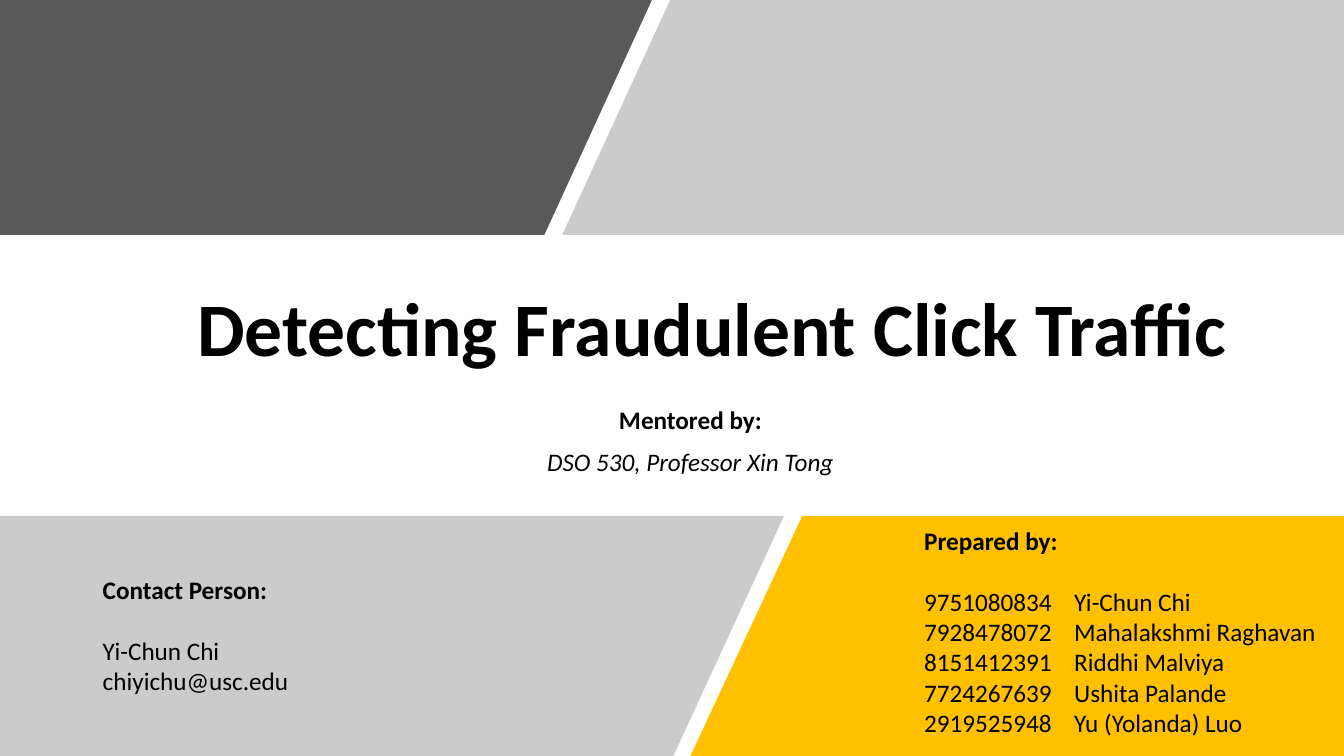
from lxml.etree import SubElement as Sub
from pptx import Presentation
from pptx.dml.color import RGBColor as Rgb
from pptx.enum.text import MSO_ANCHOR as Anchor, PP_ALIGN as Align
from pptx.oxml.ns import qn
from pptx.util import Cm, Pt

THEME = {
    "font": "Calibri", "ink": "000000", "dark": "595959", "gray": "7F7F7F",
    "gold": "FFC000", "white": "FFFFFF", "veil": 40, "head": 54, "body": 18,
}

WIDE, HIGH = 33.87, 19.05
TOP, LOW = (0, 5.92), (13, HIGH)

# band, fill, opacity, left edge at top and foot, right edge at top and foot
PANELS = [
    (TOP, "dark", 100, (0, 0), (16.43, 13.72)),
    (LOW, "white", 100, (19.89, 17.09), (29.64, 29.64)),
    (LOW, "gold", 100, (20.22, 17.4), (WIDE, WIDE)),
    (TOP, "gray", THEME["veil"], (16.89, 14.17), (WIDE, WIDE)),
    (LOW, "gray", THEME["veil"], (0, 0), (19.76, 16.97)),
]

TITLE = "Detecting Fraudulent Click Traffic"
MENTOR = ("Mentored by:", "DSO 530, Professor Xin Tong")
TEAM = [
    ("9751080834", "Yi-Chun Chi"),
    ("7928478072", "Mahalakshmi Raghavan"),
    ("8151412391", "Riddhi Malviya"),
    ("7724267639", "Ushita Palande"),
    ("2919525948", "Yu (Yolanda) Luo"),
]
CONTACT = ["Yi-Chun Chi", "chiyichu@usc.edu"]


def panel(slide, band, fill, veil, left, right):
    top, foot = band
    spots = [(left[0], top), (right[0], top), (right[1], foot), (left[1], foot)]
    pts = [(Cm(x), Cm(y)) for x, y in spots]
    form = slide.shapes.build_freeform(*pts[0])
    form.add_line_segments(pts[1:], close=True)
    shape = form.convert_to_shape()
    shape.shadow.inherit = False
    shape.line.fill.background()
    shape.fill.solid()
    shape.fill.fore_color.rgb = Rgb.from_string(THEME[fill])
    if veil < 100:
        tint = shape.fill._xPr.find(qn("a:solidFill"))[0]
        Sub(tint, qn("a:alpha"), val=str(veil * 1000))


def frame(slide, left, top, width, height, anchor=Anchor.TOP, right=0.25):
    box = slide.shapes.add_textbox(Cm(left), Cm(top), Cm(width), Cm(height))
    body = box.text_frame
    body.word_wrap = True
    body.vertical_anchor = anchor
    body.margin_right = Cm(right)
    return body


def write(body, text, size="body", bold=False, italic=False,
          align=Align.LEFT, line=1.0, gap=0, tab=None):
    para = body.paragraphs[0]
    if para.runs:
        para = body.add_paragraph()
    if tab:
        tabs = Sub(para._p.get_or_add_pPr(), qn("a:tabLst"))
        Sub(tabs, qn("a:tab"), pos=str(Cm(tab)), algn="l")
    para.alignment = align
    para.line_spacing = line
    if gap:
        para.space_before = Pt(gap)
    run = para.add_run()
    run.text = text
    font = run.font
    font.name, font.size = THEME["font"], Pt(THEME[size])
    font.bold, font.italic = bold, italic
    font.color.rgb = Rgb.from_string(THEME["ink"])


def listing(body, head, rows, tab=None):
    write(body, head, bold=True)
    for i, row in enumerate(rows):
        write(body, row, gap=0 if i else 22, tab=tab)


def main():
    deck = Presentation()
    deck.slide_width, deck.slide_height = Cm(WIDE), Cm(HIGH)
    slide = deck.slides.add_slide(deck.slide_layouts[6])
    for item in PANELS:
        panel(slide, *item)

    mid = {"align": Align.CENTER, "line": 0.9}
    title = frame(slide, 4.24, 5.18, 27.84, 4.34, Anchor.BOTTOM, right=0.69)
    write(title, TITLE, size="head", bold=True, **mid)

    mentor = frame(slide, 4.7, 10.16, 25.4, 1.6)
    write(mentor, MENTOR[0], bold=True, **mid)
    write(mentor, MENTOR[1], italic=True, gap=10, **mid)

    team = frame(slide, 23.04, 13.11, 10.8, 5.64)
    listing(team, "Prepared by:", ["\t".join(row) for row in TEAM], tab=3.78)
    contact = frame(slide, 2.34, 14.35, 8.69, 3.33)
    listing(contact, "Contact Person:", CONTACT)

    deck.save("out.pptx")


if __name__ == "__main__":
    main()
